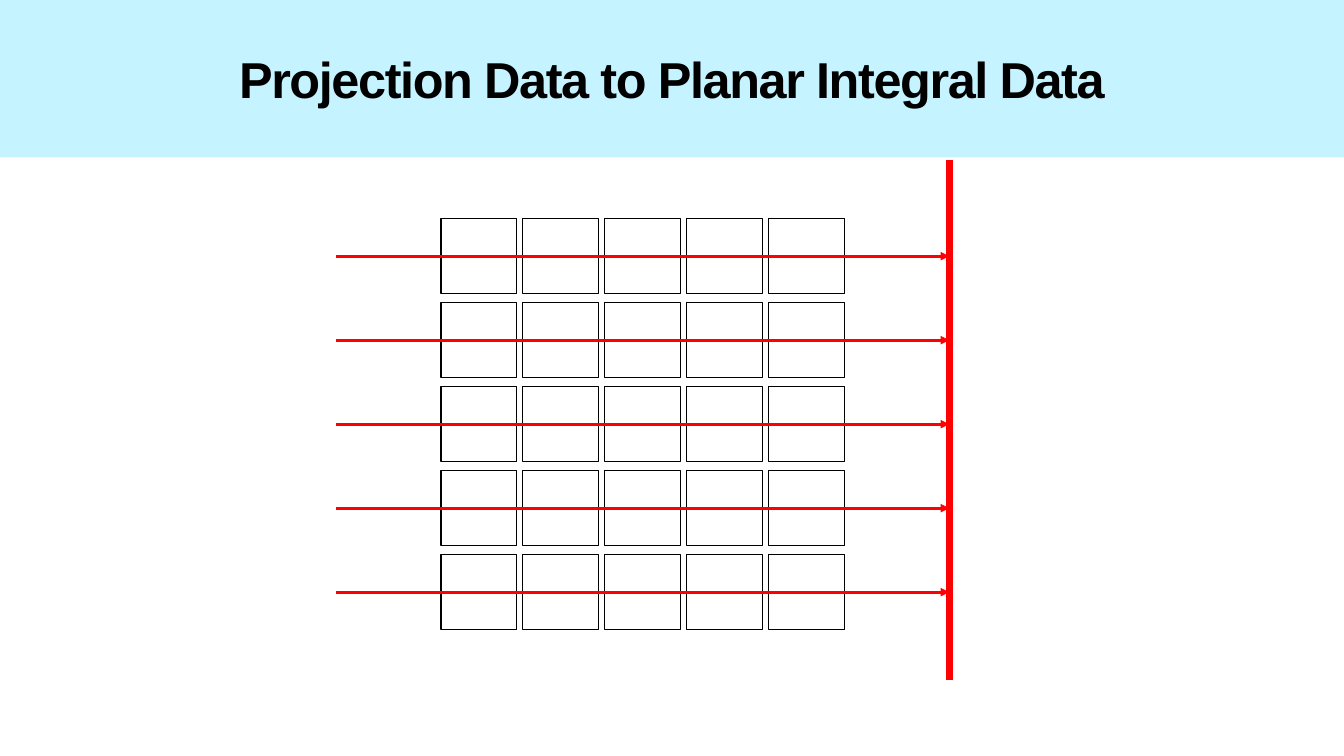
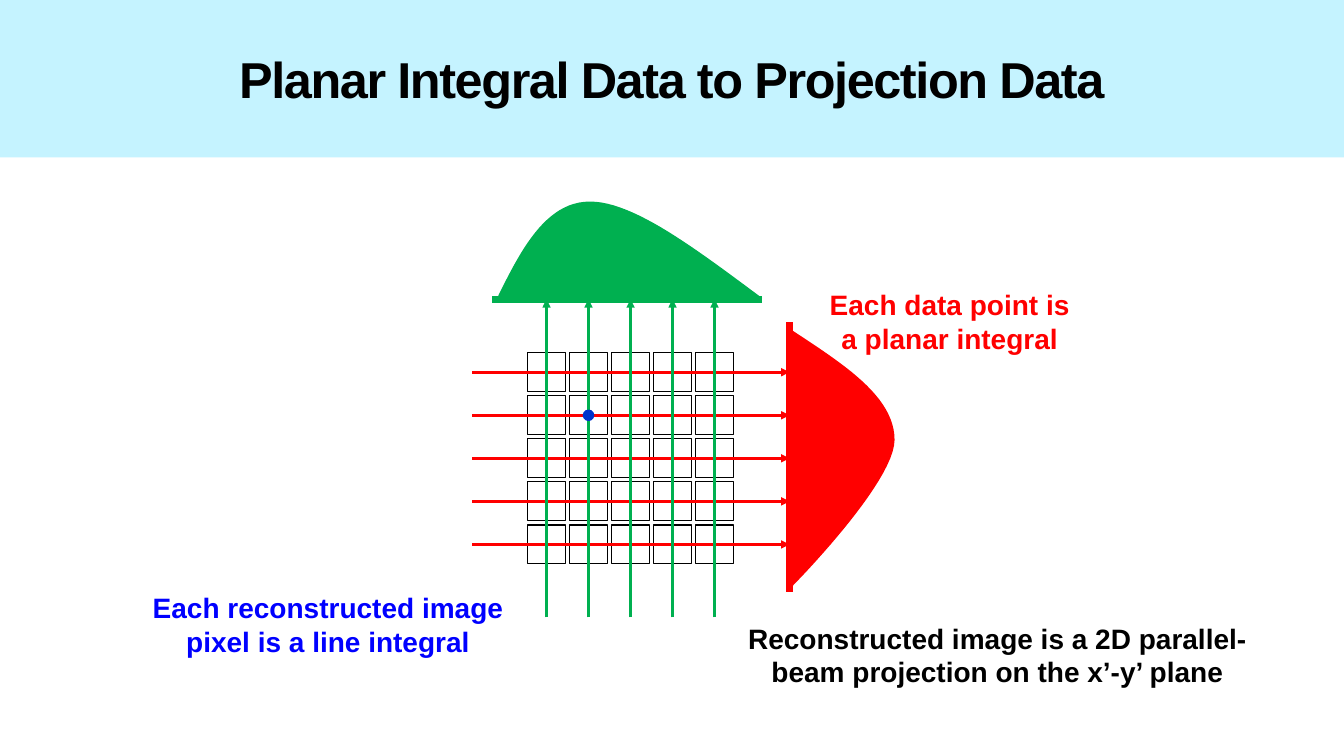
from pptx import Presentation
from pptx.dml.color import RGBColor as Rgb
from pptx.enum.shapes import MSO_CONNECTOR as Conn, MSO_SHAPE as Kind
from pptx.enum.text import MSO_ANCHOR as Anchor, PP_ALIGN as Align
from pptx.oxml.ns import qn
from pptx.util import Pt
from lxml.etree import SubElement as Sub

PX = 9525  # EMU per px at 96 px to the inch
WIDE, HIGH = 1280, 720
BLACK = Rgb(0, 0, 0)
RED = Rgb(255, 0, 0)
GREEN = Rgb(0, 176, 80)
BLUE = Rgb(0, 0, 255)
NAVY = Rgb(0, 51, 204)
SKY = Rgb(197, 243, 255)

COUNT = 5  # pixels along each side of the grid
STEPS = 24  # straight pieces per curve
HEAD = {"size": Pt(36), "bold": True, "name": "Arial"}
NOTE = {"size": Pt(20), "bold": True, "name": "Arial"}


def emu(*vals):
    return [round(val * PX) for val in vals]


def write(shape, text, form, color):
    """Put one centred line of thought into a shape."""
    frame = shape.text_frame
    for name, val in {"word_wrap": True, "vertical_anchor": Anchor.MIDDLE}.items():
        setattr(frame, name, val)
    para = frame.paragraphs[0]
    para.alignment = Align.CENTER
    run = para.add_run()
    run.text = text
    for name, val in form.items():
        setattr(run.font, name, val)
    run.font.color.rgb = color
    return run


def paint(shape, fill=None, line=None):
    shape.shadow.inherit = False
    for part, color in ((shape.fill, fill), (shape.line.fill, line)):
        if color is None:
            part.background()
        else:
            part.solid()
            part.fore_color.rgb = color
    if line is not None:
        shape.line.width = Pt(0.75)


def block(shapes, kind, box, **look):
    shape = shapes.add_shape(kind, *emu(*box))
    paint(shape, **look)
    return shape


def stroke(shapes, start, end, color, width, arrow=False):
    line = shapes.add_connector(Conn.STRAIGHT, *emu(*start, *end))
    line.line.color.rgb = color
    line.line.width = Pt(width)
    if arrow:
        Sub(line.line._get_or_add_ln(), qn("a:tailEnd"), type="triangle")
    Sub(line._element.spPr, qn("a:effectLst"))


def note(slide, text, box, color):
    write(slide.shapes.add_textbox(*emu(*box)), text, NOTE, color)


def grid(slide, left, top, size, gaps):
    """Draw the pixels; return the middles of the columns and rows."""
    cols, rows = ([start + idx * gap for idx in range(COUNT)]
                  for start, gap in zip((left, top), gaps))
    shapes = slide.shapes.add_group_shape().shapes
    for y in rows:
        for x in cols:
            block(shapes, Kind.RECTANGLE, (x, y, size, size), line=BLACK)
    return [[val + size / 2 for val in vals] for vals in (cols, rows)]


def rays(slide, mids, start, end, color, upright=False):
    """Draw one arrow through each row, or each column if upright."""
    for mid in mids:
        ends = [(mid, val) if upright else (val, mid) for val in (start, end)]
        stroke(slide.shapes, *ends, color, 2, arrow=True)


def bezier(knots, t):
    """Point on a cubic curve with four knots."""
    s = 1 - t
    parts = (s ** 3, 3 * s * s * t, 3 * s * t * t, t ** 3)
    return tuple(sum(part * knot[axis] for part, knot in zip(parts, knots))
                 for axis in (0, 1))


def hill(slide, knots, color):
    """Fill the outline of a chain of cubic curves."""
    points = [emu(*bezier(knots[idx:idx + 4], step / STEPS))
              for idx in range(0, len(knots) - 1, 3)
              for step in range(1, STEPS + 1)]
    pen = slide.shapes.build_freeform(*emu(*knots[0]))
    pen.add_line_segments(points, close=True)
    paint(pen.convert_to_shape(), fill=color)


def page(deck, title):
    """Add a slide with its title band."""
    slide = deck.slides.add_slide(deck.slide_layouts[6])
    band = block(slide.shapes, Kind.RECTANGLE, (0, 0, WIDE, 150), fill=SKY)
    run = write(band, title, HEAD, BLACK)
    run._r.get_or_add_rPr().set("spc", "-100")
    return slide


def to_planes(deck):
    slide = page(deck, "Projection Data to Planar Integral Data")
    _, rows = grid(slide, 420, 208, 72, (78, 80))
    wall = 904
    rays(slide, rows, 320, wall, RED)
    stroke(slide.shapes, (wall, 152), (wall, 648), RED, 5)


def to_lines(deck):
    slide = page(deck, "Planar Integral Data to Projection Data")
    cols, rows = grid(slide, 502, 336, 37, (40, 41))
    wall, roof = 752, 285

    # Rays and detectors
    rays(slide, rows, 450, wall, RED)
    stroke(slide.shapes, (wall, 307), (wall, 564), RED, 5)
    rays(slide, cols, 588, roof, GREEN, upright=True)
    stroke(slide.shapes, (469, roof), (726, roof), GREEN, 5)

    # Profiles
    hill(slide, [(472, 287), (495, 240), (519, 192), (562, 192),
                 (604, 192), (664, 238), (726, 284)], GREEN)
    hill(slide, [(wall, 313), (802, 346), (852, 377), (852, 419),
                 (852, 460), (754, 559), (754, 559)], RED)

    # Notes
    note(slide, "Each data point is a planar integral",
         (780, 267, 249, 78), RED)
    note(slide, "Each reconstructed image pixel is a line integral",
         (105, 514, 415, 161), BLUE)
    note(slide, "Reconstructed image is a 2D parallel-beam projection "
         "on the x’-y’ plane", (681, 591, 538, 65), BLACK)

    # Marked pixel
    size = 11
    block(slide.shapes, Kind.OVAL,
          (cols[1] - size / 2, rows[1] - size / 2, size, size), fill=NAVY)


def main():
    deck = Presentation()
    deck.slide_width, deck.slide_height = emu(WIDE, HIGH)
    to_planes(deck)
    to_lines(deck)
    deck.save("out.pptx")


if __name__ == "__main__":
    main()
